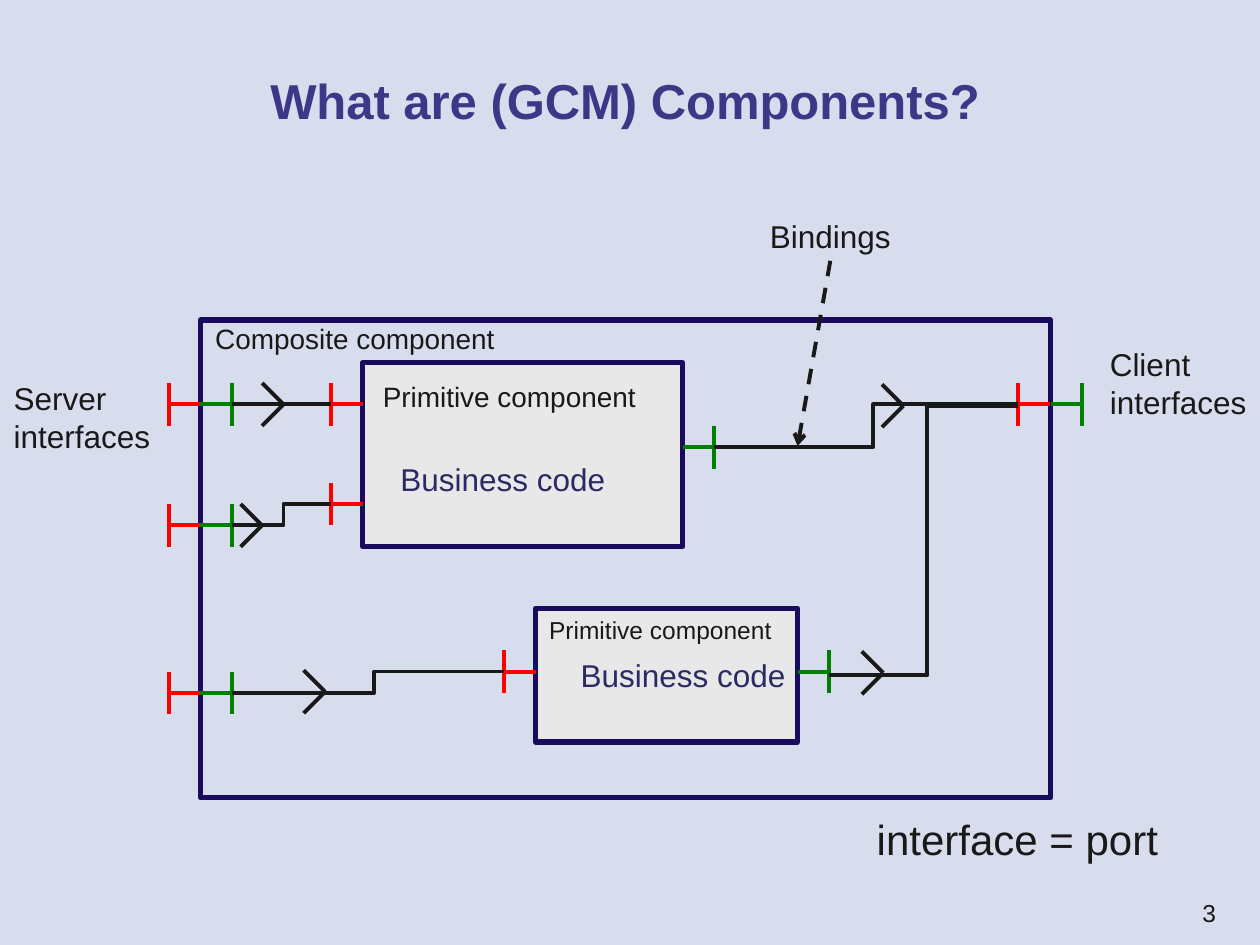
"""Build the slide that explains GCM components, their ports and bindings."""
from lxml import etree
from pptx import Presentation
from pptx.dml.color import RGBColor
from pptx.enum.dml import MSO_LINE
from pptx.enum.shapes import MSO_CONNECTOR, MSO_SHAPE
from pptx.enum.text import MSO_ANCHOR, MSO_AUTO_SIZE, PP_ALIGN
from pptx.oxml.ns import qn
from pptx.util import Inches, Pt

STRAIGHT, ELBOW = MSO_CONNECTOR.STRAIGHT, MSO_CONNECTOR.ELBOW
RECTANGLE, DASH = MSO_SHAPE.RECTANGLE, MSO_LINE.DASH
LEFT, CENTER, RIGHT = PP_ALIGN.LEFT, PP_ALIGN.CENTER, PP_ALIGN.RIGHT
TOP, MIDDLE = MSO_ANCHOR.TOP, MSO_ANCHOR.MIDDLE
FIXED, GROW = MSO_AUTO_SIZE.NONE, MSO_AUTO_SIZE.SHAPE_TO_FIT_TEXT
THEME = {
    "font": "Arial", "background": "D8DDED", "title": "3B3887", "ink": "191919",
    "code": "2C2A65", "border": "1A0C5D", "panel": "E8E8E8",
    "server": "FF0000", "client": "008000",
    "title_size": 28, "large": 24, "body": 18, "label": 16, "small": 14,
    "border_width": 3, "line_width": 2.25,
}
STEM, HALF_BAR, CHEVRON = 0.25, 0.17, 0.17

TITLE = ("What are (GCM) Components?", (0.44, 0.33, 9.04, 0.92))
COMPONENTS = [
    ((1.59, 2.54, 6.75, 3.79), None),
    ((2.88, 2.88, 2.54, 1.46), "panel"),
    ((4.25, 4.83, 2.08, 1.06), "panel"),
]
SERVER_PORTS = [(1.59, 3.21), (1.59, 4.17), (1.59, 5.5), (2.88, 3.21),
                (2.88, 4), (4.25, 5.33), (8.33, 3.21)]
CLIENT_PORTS = [(1.59, 3.21), (1.59, 4.17), (1.59, 5.5), (5.42, 3.55),
                (6.33, 5.33), (8.34, 3.21)]
BINDINGS = [
    ((1.84, 3.21), (2.63, 3.21), None),
    ((1.84, 4.17), (2.63, 4), 2.25),
    ((5.67, 3.55), (8.08, 3.21), 6.93),
    ((6.58, 5.36), (8.08, 3.22), 7.36),
    ((1.84, 5.5), (4, 5.33), 2.97),
]
CHEVRON_TIPS = [(2.25, 3.21), (2.08, 4.17), (2.58, 5.49), (7.17, 3.22), (7.01, 5.34)]
POINTER = ((6.59, 2.07), (6.33, 3.54))
LABELS = [
    ("Bindings", (5.99, 1.67, 1.2, 0.4), "body", "ink", CENTER),
    ("Business code", (3.08, 3.6, 1.88, 0.4), "body", "code", LEFT),
    ("Business code", (4.51, 5.16, 1.88, 0.4), "body", "code", LEFT),
    ("Server\vinterfaces", (0.01, 2.96, 1.34, 0.7), "body", "ink", LEFT),
    ("Client\vinterfaces", (8.71, 2.69, 1.34, 0.7), "body", "ink", LEFT),
    ("Primitive component", (2.94, 2.96, 2.27, 0.37), "label", "ink", LEFT),
    ("Primitive component", (4.26, 4.83, 2.02, 0.34), "small", "ink", LEFT),
    ("Composite component", (1.61, 2.5, 2.48, 0.37), "label", "ink", LEFT),
    ("interface = port", (6.86, 6.41, 2.49, 0.5), "large", "ink", LEFT),
]
PAGE_NUMBER = ("3", (7.92, 7.08, 1.83, 0.25))


def color(name):
    return RGBColor.from_string(THEME[name])


def write(text_frame, text, size="body", ink="ink", align=LEFT, bold=False,
          wrap=False, anchor=TOP):
    text_frame.word_wrap = wrap
    text_frame.auto_size = FIXED if wrap else GROW
    text_frame.vertical_anchor = anchor
    paragraph = text_frame.paragraphs[0]
    paragraph.text = text
    paragraph.alignment = align
    for run in paragraph.runs:
        run.font.name = THEME["font"]
        run.font.size = Pt(THEME[size])
        run.font.bold = bold
        run.font.color.rgb = color(ink)


def add_label(slide, text, box, **text_format):
    shape = slide.shapes.add_textbox(*map(Inches, box))
    write(shape.text_frame, text, **text_format)


def add_line(slide, start, end, ink="ink", kind=STRAIGHT):
    connector = slide.shapes.add_connector(kind, *map(Inches, start + end))
    connector.line.color.rgb = color(ink)
    connector.line.width = Pt(THEME["line_width"])
    etree.SubElement(connector._element.spPr, qn("a:effectLst"))
    return connector


def add_component(slide, box, fill):
    shape = slide.shapes.add_shape(RECTANGLE, *map(Inches, box))
    shape.shadow.inherit = False
    shape.line.color.rgb = color("border")
    shape.line.width = Pt(THEME["border_width"])
    if fill:
        shape.fill.solid()
        shape.fill.fore_color.rgb = color(fill)
    else:
        shape.fill.background()


def add_port(slide, edge, direction, ink):
    x, y = edge
    tip = x + direction * STEM
    add_line(slide, edge, (tip, y), ink)
    add_line(slide, (tip, y - HALF_BAR), (tip, y + HALF_BAR), ink)


def add_binding(slide, start, end, bend):
    if bend is None:
        add_line(slide, start, end)
        return
    connector = add_line(slide, start, end, kind=ELBOW)
    share = round((bend - start[0]) / (end[0] - start[0]) * 100000)
    guides = connector._element.spPr.find(qn("a:prstGeom")).get_or_add_avLst()
    etree.SubElement(guides, qn("a:gd"), name="adj1", fmla=f"val {share}")


def add_pointer(slide, start, end):
    connector = add_line(slide, start, end)
    connector.line.dash_style = DASH
    line = connector._element.spPr.find(qn("a:ln"))
    etree.SubElement(line, qn("a:tailEnd"), type="arrow")


def main():
    presentation = Presentation()
    presentation.slide_width, presentation.slide_height = Inches(10), Inches(7.5)
    slide = presentation.slides.add_slide(presentation.slide_layouts[5])
    slide.background.fill.solid()
    slide.background.fill.fore_color.rgb = color("background")

    text, box = TITLE
    title = slide.shapes.title
    title.left, title.top, title.width, title.height = map(Inches, box)
    write(title.text_frame, text, size="title_size", ink="title", align=CENTER,
          bold=True, wrap=True, anchor=MIDDLE)

    for box, fill in COMPONENTS:
        add_component(slide, box, fill)
    for edge in SERVER_PORTS:
        add_port(slide, edge, -1, "server")
    for edge in CLIENT_PORTS:
        add_port(slide, edge, 1, "client")
    for start, end, bend in BINDINGS:
        add_binding(slide, start, end, bend)
    for x, y in CHEVRON_TIPS:
        for side in (-1, 1):
            add_line(slide, (x - CHEVRON, y + side * CHEVRON), (x, y))
    add_pointer(slide, *POINTER)
    for text, box, size, ink, align in LABELS:
        add_label(slide, text, box, size=size, ink=ink, align=align)
    add_label(slide, *PAGE_NUMBER, size="small", align=RIGHT, wrap=True)
    presentation.save("out.pptx")


if __name__ == "__main__":
    main()
